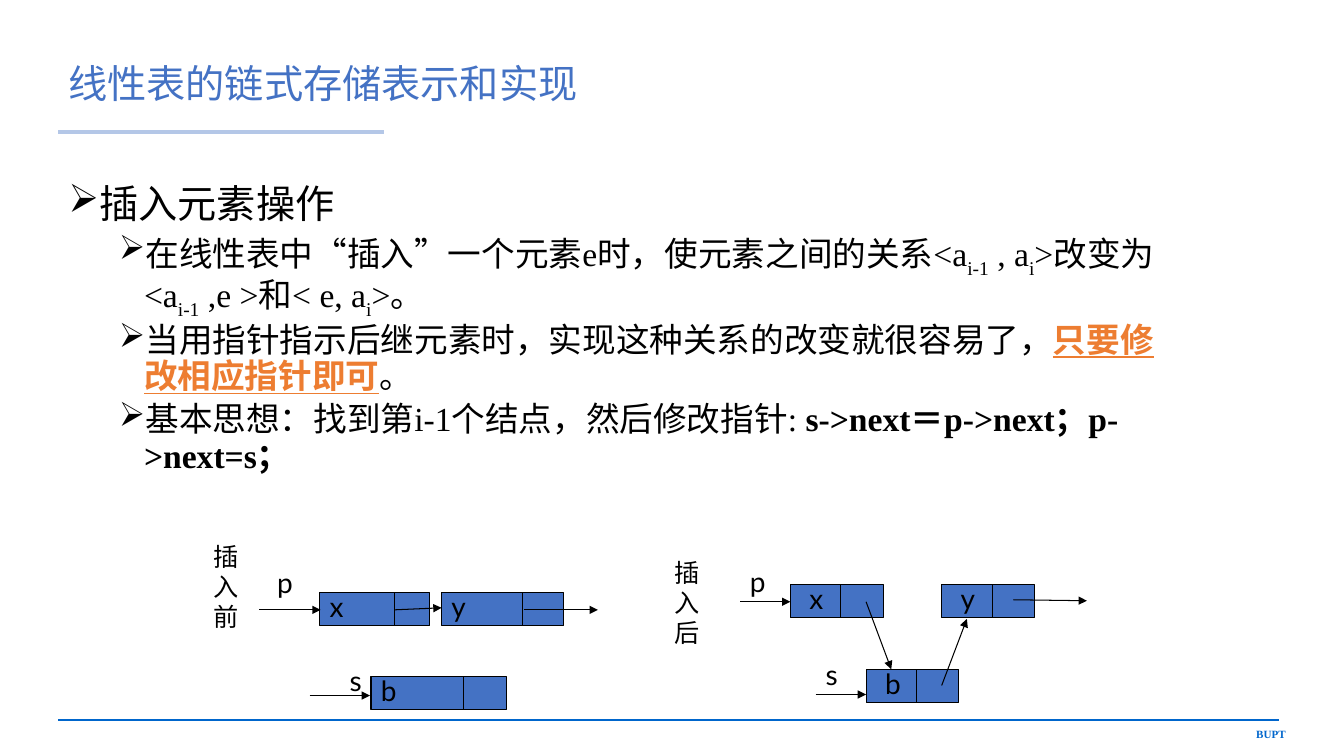
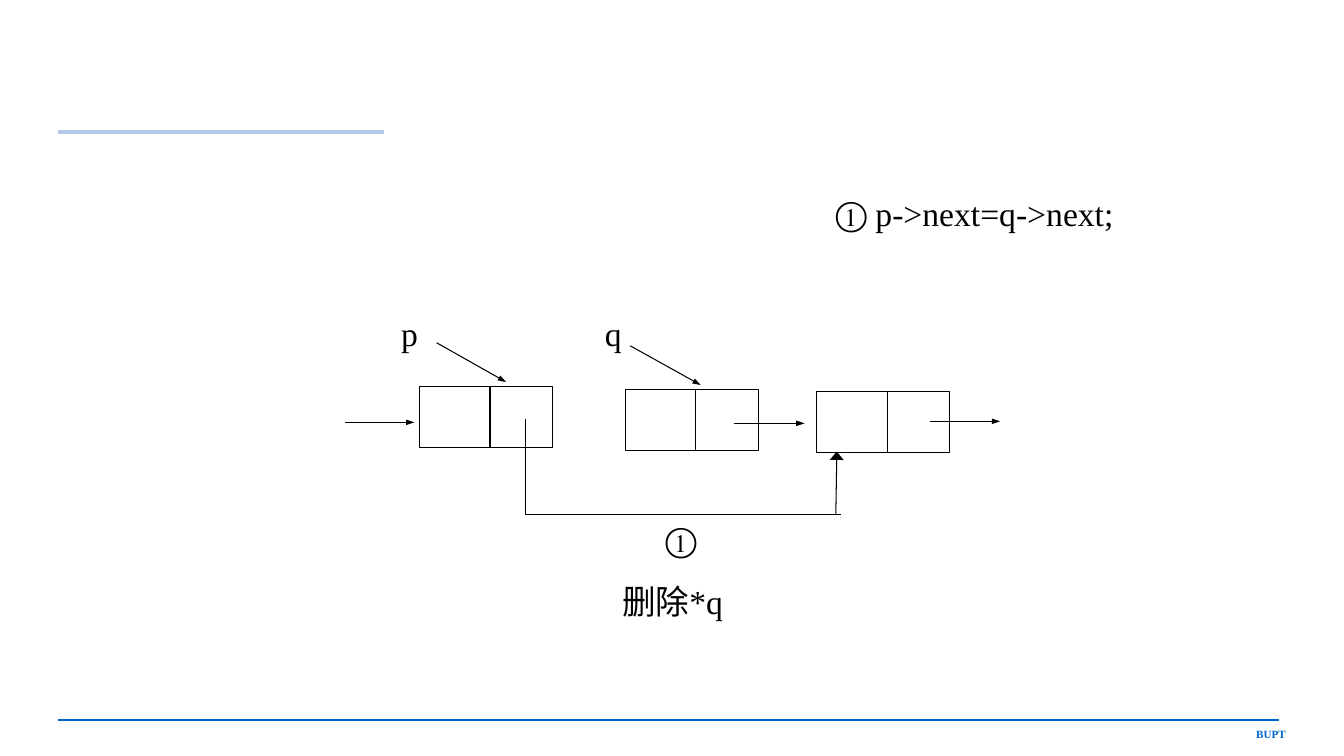
from lxml.etree import SubElement
from pptx import Presentation
from pptx.dml.color import RGBColor
from pptx.enum.shapes import MSO_CONNECTOR as Connector, MSO_SHAPE as Shape
from pptx.enum.text import MSO_ANCHOR as Anchor, PP_ALIGN as Align
from pptx.oxml.ns import qn
from pptx.util import Inches, Pt

BLACK, BLUE, ORANGE = "000000", "4472C4", "ED7D31"
FOOTER_BLUE, PALE_BLUE = "0066CC", "B4C7E7"
SERIF, LABEL_FONT, CAPTION_FONT = "Times New Roman", "Lato", "DejaVu Sans"
PAD = (0.1, 0.05)
BULLET = "➢"


def color(hex_string):
    return RGBColor.from_string(hex_string)


def add_span(para, text, size=24, font=SERIF, ink=BLACK, bold=False,
             underline=False, baseline=0):
    span = para.add_run()
    span.text = text
    span.font.name, span.font.size = font, Pt(size)
    span.font.bold, span.font.underline = bold, underline
    span.font.color.rgb = color(ink)
    if baseline:
        span.font._element.set("baseline", str(baseline * 1000))


def add_frame(slide, left, top, width, height, pad=PAD, anchor=Anchor.TOP):
    box = slide.shapes.add_textbox(
        Inches(left), Inches(top), Inches(width), Inches(height))
    frame = box.text_frame
    frame.word_wrap, frame.vertical_anchor = True, anchor
    frame.margin_left = frame.margin_right = Inches(pad[0])
    frame.margin_top = frame.margin_bottom = Inches(pad[1])
    return frame


def write(slide, box, text, align=Align.LEFT, pad=PAD, anchor=Anchor.TOP,
          spacing=None, **style):
    """Add a text box with one paragraph in one style."""
    para = add_frame(slide, *box, pad=pad, anchor=anchor).paragraphs[0]
    para.alignment, para.line_spacing = align, spacing
    add_span(para, text, **style)


def add_line(slide, start, end, ink=BLACK, weight=0.75, head=None):
    """Add a straight line; head is the arrowhead width (sm, med or lg)."""
    line = slide.shapes.add_connector(
        Connector.STRAIGHT, *(Inches(value) for value in (*start, *end)))
    line.line.color.rgb, line.line.width = color(ink), Pt(weight)
    if head:
        SubElement(line.line._get_or_add_ln(), qn("a:tailEnd"),
                   type="triangle", w=head, len="med")
    SubElement(line._element.spPr, qn("a:effectLst"))


def add_node(slide, left, top, width, height, split, fill=None):
    """Add a list node: a box divided into data and pointer fields."""
    node = slide.shapes.add_shape(
        Shape.RECTANGLE, Inches(left), Inches(top), Inches(width), Inches(height))
    node.shadow.inherit = False
    if fill:
        node.fill.solid()
        node.fill.fore_color.rgb = color(fill)
    else:
        node.fill.background()
    node.line.color.rgb, node.line.width = color(BLACK), Pt(0.75)
    add_line(slide, (left + split, top), (left + split, top + height))


def add_page(deck):
    """Add a blank slide with the shared rules and footer."""
    slide = deck.slides.add_slide(deck.slide_layouts[6])
    add_line(slide, (0.58, 7.14), (12.69, 7.14), FOOTER_BLUE, 1.5)
    write(slide, (11.5, 7.17, 1.35, 0.23), "BUPT", align=Align.RIGHT,
          size=7.9, ink=FOOTER_BLUE, bold=True)
    add_line(slide, (0.58, 1.31), (3.81, 1.31), PALE_BLUE, 3.5)
    return slide


def add_title(slide, text):
    write(slide, (0.58, 0.4, 11.18, 0.9), text, anchor=Anchor.MIDDLE,
          spacing=0.9, size=28, ink=BLUE)


def add_outline(slide, box, items):
    """Add bulleted paragraphs; each item is a level and its spans."""
    frame = add_frame(slide, *box)
    for index, (level, spans) in enumerate(items):
        para = frame.add_paragraph() if index else frame.paragraphs[0]
        para.level = level
        props = para._p.get_or_add_pPr()
        props.set("marL", str(Inches(0.25 + 0.5 * level)))
        props.set("indent", str(Inches(-0.25)))
        SubElement(props, qn("a:buChar"), char=BULLET)
        para.line_spacing = 0.9
        if index:
            para.space_before = Pt(5)
        for text, style in spans:
            add_span(para, text, **{"size": 24 if level else 28, **style})


def add_list_diagram(slide, left, top, caption, label_gap, nodes, pointers, arrows):
    """Draw a linked list; all places are relative to left and top."""
    def at(x, y):
        return left + x, top + y

    def label(text, x, y):
        write(slide, (*at(x, y), 0.6, 0.43), text, size=20, font=LABEL_FONT)

    write(slide, (left, top, 0.55, 1), caption, size=18, font=CAPTION_FONT)
    for name, x, y, width, split in nodes:
        add_node(slide, *at(x, y), width, 0.33, split, BLUE)
        label(name, x + label_gap, y - 0.08)
    for pointer in pointers:
        label(*pointer)
    for start, end in arrows:
        add_line(slide, at(*start), at(*end), head="med")


def build_insertion(deck):
    slide = add_page(deck)
    add_title(slide, "线性表的链式存储表示和实现")

    # Explanation
    sub, quote = {"baseline": -25}, {"font": "Arial"}
    add_outline(slide, (0.58, 1.78, 11.18, 3.3), [
        (0, [("插入元素操作", {})]),
        (1, [("在线性表中", {}), ("“", quote), ("插入", {}), ("”", quote),
             ("一个元素e时，使元素之间的关系<a", {}), ("i-1", sub),
             (" , a", {}), ("i", sub), (">改变为<a", {}), ("i-1", sub),
             (" ,e >和< e, a", {}), ("i", sub), (">。", {})]),
        (1, [("当用指针指示后继元素时，实现这种关系的改变就很容易了，", {}),
             ("只要修改相应指针即可",
              {"ink": ORANGE, "bold": True, "underline": True}),
             ("。", {})]),
        (1, [("基本思想：找到第i-1个结点，然后修改指针: ", {}),
             ("s->next＝p->next；p->next=s；", {"bold": True})]),
    ])

    # Lists before and after the insertion
    add_list_diagram(
        slide, 2.02, 5.32, "插入前", 0,
        nodes=[("x", 1.15, 0.56, 1.09, 0.74), ("y", 2.36, 0.56, 1.21, 0.8),
               ("b", 1.66, 1.39, 1.34, 0.92)],
        pointers=[("p", 0.63, 0.24), ("s", 1.35, 1.21)],
        arrows=[((0.55, 0.73), (1.16, 0.73)), ((1.89, 0.73), (2.36, 0.71)),
                ((3.18, 0.73), (3.91, 0.73)), ((1.05, 1.58), (1.65, 1.58))])
    add_list_diagram(
        slide, 6.59, 5.48, "插入后", 0.09,
        nodes=[("x", 1.25, 0.32, 0.92, 0.5), ("y", 2.75, 0.32, 0.92, 0.5),
               ("b", 2, 1.16, 0.92, 0.5)],
        pointers=[("p", 0.75, 0.07), ("s", 1.5, 0.99)],
        arrows=[((0.75, 0.49), (1.25, 0.49)), ((2, 0.49), (2.25, 1.16)),
                ((2.75, 1.32), (3, 0.66)), ((3.46, 0.47), (4.19, 0.48)),
                ((1.5, 1.41), (2, 1.41))])


def add_deletion_diagram(slide, left, top):
    """Draw the list around the deleted node, relative to left and top."""
    def at(x, y):
        return left + x, top + y

    # Nodes
    for x, y in ((0.74, 0.73), (2.78, 0.76), (4.68, 0.78)):
        add_node(slide, *at(x, y), 1.32, 0.61, 0.7)

    # Pointers and links
    for name, x in (("p", 0.56), ("q", 2.58)):
        write(slide, (*at(x, 0), 0.5, 0.5), name, pad=(0, 0))
    for start, end in (((0.91, 0.3), (1.6, 0.69)), ((2.83, 0.33), (3.53, 0.72)),
                       ((0, 1.09), (0.69, 1.09)), ((3.86, 1.1), (4.56, 1.1)),
                       ((5.8, 1.08), (6.5, 1.08))):
        add_line(slide, at(*start), at(*end), head="sm")

    # Link that skips the deleted node
    add_line(slide, at(1.79, 1.06), at(1.79, 2))
    add_line(slide, at(1.79, 2), at(4.92, 2))
    add_line(slide, at(4.87, 2), at(4.88, 1.38), head="lg")
    write(slide, (*at(3.08, 2), 0.6, 0.5), "①")
    write(slide, (*at(2.75, 2.66), 4.43, 0.43), "删除*q", pad=(0, 0))


def build_deletion(deck):
    slide = add_page(deck)
    write(slide, (8.19, 1.86, 3.2, 0.5), "① p->next=q->next;")
    add_deletion_diagram(slide, 3.42, 3.1)


def main():
    deck = Presentation()
    deck.slide_width, deck.slide_height = Inches(13.33), Inches(7.5)
    build_insertion(deck)
    build_deletion(deck)
    deck.save("out.pptx")


if __name__ == "__main__":
    main()
